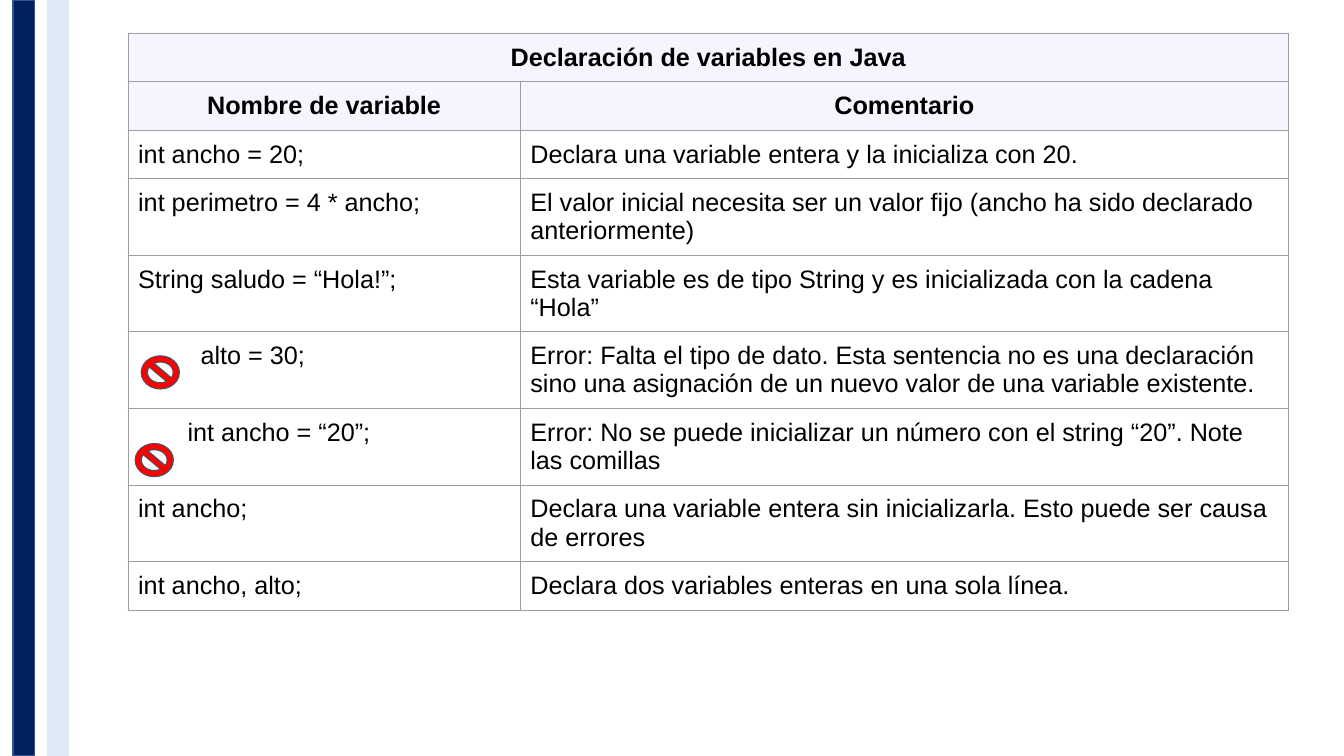
from dataclasses import dataclass

import pptx
import pptx.dml.color
import pptx.enum.shapes
import pptx.enum.text
import pptx.oxml
import pptx.oxml.ns
import pptx.util
from pptx.dml.color import RGBColor
from pptx.util import Inches

NAVY = RGBColor(0x00, 0x20, 0x60)
BLUE = RGBColor(0x31, 0x53, 0x8F)
PALE = RGBColor(0xDD, 0xEA, 0xF6)
RED = RGBColor(0xFF, 0x00, 0x00)
SLATE = RGBColor(0x44, 0x54, 0x6A)
LILAC = RGBColor(0xF5, 0xF5, 0xFF)
GRAY = RGBColor(0x9E, 0x9E, 0x9E)
BLACK = RGBColor(0x00, 0x00, 0x00)

SHAPE = pptx.enum.shapes.MSO_SHAPE
PAD = 0.1
ROW = 0.42
COLS = (3.89, 7.62)


@dataclass
class Row:
    code: str
    note: str = ""
    head: bool = False
    indent: float = 0


@dataclass
class Mark:
    kind: int
    left: float
    top: float
    width: float
    height: float
    fill: RGBColor
    line: RGBColor
    weight: float


ROWS = [
    Row("Declaración de variables en Java", head=True),
    Row("Nombre de variable", "Comentario", head=True),
    Row("int ancho = 20;", "Declara una variable entera y la inicializa con 20."),
    Row("int perimetro = 4 * ancho;",
        "El valor inicial necesita ser un valor fijo (ancho ha sido declarado anteriormente)"),
    Row("String saludo = “Hola!”;",
        "Esta variable es de tipo String y es inicializada con la cadena “Hola”"),
    Row("alto = 30;",
        "Error: Falta el tipo de dato. Esta sentencia no es una declaración sino "
        "una asignación de un nuevo valor de una variable existente.", indent=0.62),
    Row("int ancho = “20”;",
        "Error: No se puede inicializar un número con el string “20”. Note las comillas",
        indent=0.49),
    Row("int ancho;",
        "Declara una variable entera sin inicializarla. Esto puede ser causa de errores"),
    Row("int ancho, alto;", "Declara dos variables enteras en una sola línea."),
]

BARS = [
    Mark(SHAPE.RECTANGLE, 0.13, 0, 0.21, 7.5, NAVY, BLUE, 1),
    Mark(SHAPE.RECTANGLE, 0.47, 0, 0.21, 7.5, PALE, PALE, 1),
]
SIGNS = [
    Mark(SHAPE.NO_SYMBOL, left, top, 0.38, 0.33, RED, SLATE, 0.75)
    for left, top in ((1.4, 3.53), (1.34, 4.4))
]


def draw(slide: pptx.slide.Slide, mark: Mark) -> None:
    shape = slide.shapes.add_shape(
        mark.kind, Inches(mark.left), Inches(mark.top),
        Inches(mark.width), Inches(mark.height))
    shape.shadow.inherit = False
    shape.fill.solid()
    shape.fill.fore_color.rgb = mark.fill
    shape.line.color.rgb = mark.line
    shape.line.width = pptx.util.Pt(mark.weight)
    if mark.kind == SHAPE.NO_SYMBOL:
        shape.adjustments[0] = 0.188


def edge(cell: pptx.table._Cell) -> None:
    """Draw a thin gray border on all four sides of the cell."""
    props = cell._tc.get_or_add_tcPr()
    for side in ("lnL", "lnR", "lnT", "lnB"):
        props.append(pptx.oxml.parse_xml(
            f'<a:{side} {pptx.oxml.ns.nsdecls("a")} w="{pptx.util.Pt(0.75)}">'
            f'<a:solidFill><a:srgbClr val="{GRAY}"/></a:solidFill></a:{side}>'))


def write(cell: pptx.table._Cell, text: str, head: bool, indent: float) -> None:
    edge(cell)
    if head:
        cell.fill.solid()
        cell.fill.fore_color.rgb = LILAC
    else:
        cell.fill.background()
    cell.margin_left = Inches(PAD + indent)
    cell.margin_right = cell.margin_top = cell.margin_bottom = Inches(PAD)
    cell.text_frame.text = text
    para = cell.text_frame.paragraphs[0]
    if head:
        para.alignment = pptx.enum.text.PP_ALIGN.CENTER
    para.font.size = pptx.util.Pt(18)
    for run in para.runs:
        run.font.name = "Arial"
        run.font.size = pptx.util.Pt(18)
        run.font.bold = head
        run.font.color.rgb = BLACK


def fill_table(slide: pptx.slide.Slide) -> None:
    table = slide.shapes.add_table(
        len(ROWS), len(COLS), Inches(1.27), Inches(0.33),
        Inches(sum(COLS)), Inches(ROW * len(ROWS))).table
    table.first_row = table.horz_banding = False
    for col, width in zip(table.columns, COLS):
        col.width = Inches(width)
    for i, row in enumerate(ROWS):
        table.rows[i].height = Inches(ROW)
        write(table.cell(i, 0), row.code, row.head, row.indent)
        write(table.cell(i, 1), row.note, row.head, 0)
    table.cell(0, 0).merge(table.cell(0, 1))


def main() -> None:
    deck = pptx.Presentation()
    deck.slide_width = Inches(13.33)
    deck.slide_height = Inches(7.5)
    slide = deck.slides.add_slide(deck.slide_layouts[6])
    for bar in BARS:
        draw(slide, bar)
    fill_table(slide)
    for sign in SIGNS:
        draw(slide, sign)
    deck.save("out.pptx")


if __name__ == "__main__":
    main()
